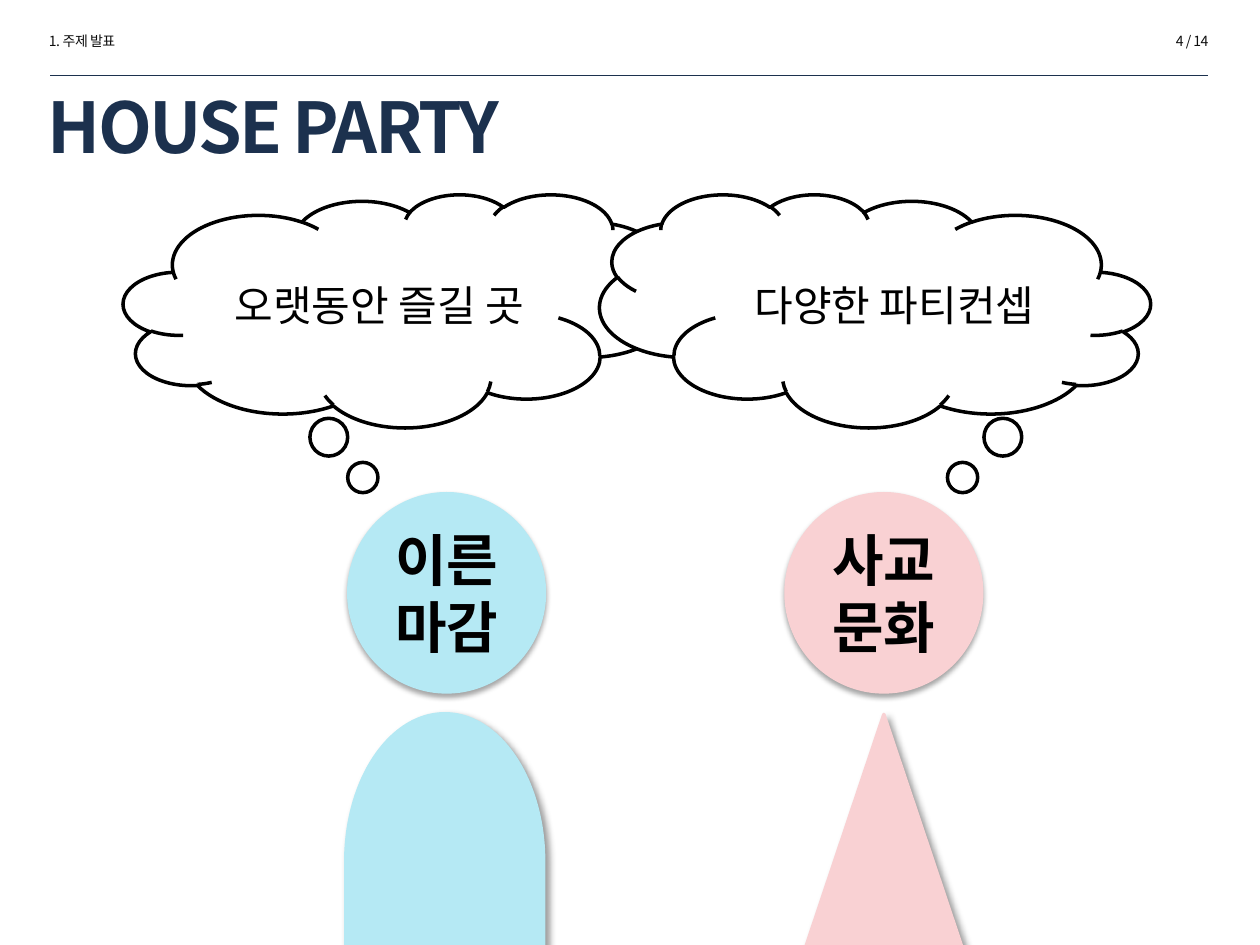
"""Build the HOUSE PARTY slide with two thinking guests."""
from dataclasses import dataclass

from lxml.etree import SubElement
from pptx import Presentation
from pptx.dml.color import RGBColor
from pptx.enum.shapes import MSO_CONNECTOR as Connector, MSO_SHAPE as Preset
from pptx.enum.text import MSO_ANCHOR as Anchor, MSO_AUTO_SIZE as AutoSize, PP_ALIGN as Align
from pptx.oxml.ns import qn
from pptx.shapes.autoshape import Shape
from pptx.slide import Slide
from pptx.util import Pt

FONT = "Noto Sans CJK KR"
NAVY = RGBColor(0x1C, 0x31, 0x4E)
INK = RGBColor(0x0D, 0x0D, 0x0D)
BLACK = RGBColor(0, 0, 0)
WHITE = RGBColor(0xFF, 0xFF, 0xFF)
BLUE = RGBColor(0xB5, 0xE9, 0xF4)
PINK = RGBColor(0xF9, 0xD1, 0xD3)


@dataclass(frozen=True)
class Box:
    left: float
    top: float
    width: float
    height: float


@dataclass(frozen=True)
class Shadow:
    alpha: int
    blur: float
    distance: float
    angle: int


@dataclass(frozen=True)
class Guest:
    name: str
    thought: str
    color: RGBColor
    head_left: float
    body: Preset
    body_box: Box
    rotation: int
    cloud_left: float
    small_left: float
    large_left: float
    mirrored: bool


HEAD_SHADOW = Shadow(35, 3.1, 1.8, 90)
BODY_SHADOW = Shadow(40, 4, 3, 45)
GUESTS = (
    Guest("이른\n마감", "오랫동안 즐길 곳", BLUE, 198.72, Preset.FLOWCHART_DELAY,
          Box(169.92, 435.6, 168.48, 113.04), 270, 70.56, 198.72, 177.12, False),
    Guest("사교\n문화", "다양한 파티컨셉", PINK, 448.56, Preset.ISOSCELES_TRIANGLE,
          Box(448.56, 408.24, 113.04, 168.48), 0, 342.72, 541.44, 562.32, True),
)


def write(shape: Shape, text: str, size: float, color: RGBColor, align: Align,
          bold: bool = False, spacing: float = 0) -> None:
    """Fill a shape with text in one uniform style."""
    shape.text_frame.text = text
    shape.text_frame.word_wrap = True
    for para in shape.text_frame.paragraphs:
        para.alignment = align
        for span in para.runs:
            span.font.name = FONT
            span.font.size = Pt(size)
            span.font.bold = bold
            span.font.color.rgb = color
            properties = span.font._element
            if spacing:
                properties.set("spc", str(round(spacing * 100)))
            SubElement(properties, qn("a:ea")).set("typeface", FONT)


def place(shape: Shape, box: Box) -> None:
    """Move and size a shape."""
    shape.left, shape.top = Pt(box.left), Pt(box.top)
    shape.width, shape.height = Pt(box.width), Pt(box.height)


def add_label(page: Slide, box: Box, text: str, align: Align) -> None:
    """Add a small header label."""
    label = page.shapes.add_textbox(0, 0, 0, 0)
    place(label, box)
    write(label, text, 8, INK, align, spacing=-0.3)
    label.text_frame.auto_size = AutoSize.SHAPE_TO_FIT_TEXT


def add_figure(page: Slide, preset: Preset, box: Box, fill: RGBColor, line: RGBColor,
               weight: float = 2, mirrored: bool = False) -> Shape:
    """Add a filled and outlined preset shape."""
    figure = page.shapes.add_shape(preset, 0, 0, 0, 0)
    place(figure, box)
    figure.fill.solid()
    figure.fill.fore_color.rgb = fill
    figure.line.color.rgb = line
    figure.line.width = Pt(weight)
    figure.shadow.inherit = False
    if mirrored:
        figure._element.spPr.find(qn("a:xfrm")).set("flipH", "1")
    return figure


def cast_shadow(figure: Shape, shadow: Shadow) -> None:
    """Give a shape a soft black outer shadow."""
    effects = figure._element.spPr.find(qn("a:effectLst"))
    outer = SubElement(effects, qn("a:outerShdw"), blurRad=str(Pt(shadow.blur)),
                       dist=str(Pt(shadow.distance)), dir=str(shadow.angle * 60000),
                       rotWithShape="0")
    color = SubElement(outer, qn("a:srgbClr"), val=str(BLACK))
    SubElement(color, qn("a:alpha"), val=str(shadow.alpha * 1000))


def add_guest(page: Slide, guest: Guest) -> None:
    """Draw a guest with head, body and thought cloud."""
    head = add_figure(page, Preset.OVAL, Box(guest.head_left, 281.52, 113.04, 114.48),
                      guest.color, guest.color, 0.75)
    cast_shadow(head, HEAD_SHADOW)
    write(head, guest.name, 32, BLACK, Align.CENTER, bold=True)
    body = add_figure(page, guest.body, guest.body_box, guest.color, guest.color)
    body.rotation = guest.rotation
    cast_shadow(body, BODY_SHADOW)
    bubbles = (Box(guest.small_left, 264.24, 17.28, 17.28),
               Box(guest.large_left, 239.04, 21.6, 21.6))
    for bubble in bubbles:
        add_figure(page, Preset.OVAL, bubble, WHITE, BLACK, mirrored=guest.mirrored)
    cloud = add_figure(page, Preset.CLOUD, Box(guest.cloud_left, 110.88, 314.64, 133.2),
                       WHITE, BLACK, mirrored=guest.mirrored)
    write(cloud, guest.thought, 24, BLACK, Align.CENTER)
    for figure in (head, cloud):
        figure.text_frame.vertical_anchor = Anchor.MIDDLE


def add_header(page: Slide) -> None:
    """Write the labels, the rule and the title."""
    add_label(page, Box(20.88, 15.12, 124.56, 17.28), "1. 주제 발표", Align.LEFT)
    add_label(page, Box(573.12, 15.12, 124.56, 17.28), "4 / 14", Align.RIGHT)
    rule = page.shapes.add_connector(Connector.STRAIGHT, Pt(28.8), Pt(43.2), Pt(690.48), Pt(43.2))
    rule.line.color.rgb = NAVY
    rule.line.width = Pt(0.25)
    SubElement(rule._element.spPr, qn("a:effectLst"))
    title = page.shapes.title
    place(title, Box(20.16, 48.96, 550.8, 46.08))
    write(title, "HOUSE PARTY", 40, NAVY, Align.LEFT, bold=True, spacing=-1.5)
    title.text_frame.auto_size = AutoSize.NONE
    title.text_frame.vertical_anchor = Anchor.MIDDLE


def main() -> None:
    """Build and save the deck."""
    deck = Presentation()
    deck.slide_width, deck.slide_height = Pt(720), Pt(540)
    page = deck.slides.add_slide(deck.slide_layouts.get_by_name("Title Only"))
    add_header(page)
    for guest in GUESTS:
        add_guest(page, guest)
    deck.save("out.pptx")


if __name__ == "__main__":
    main()
